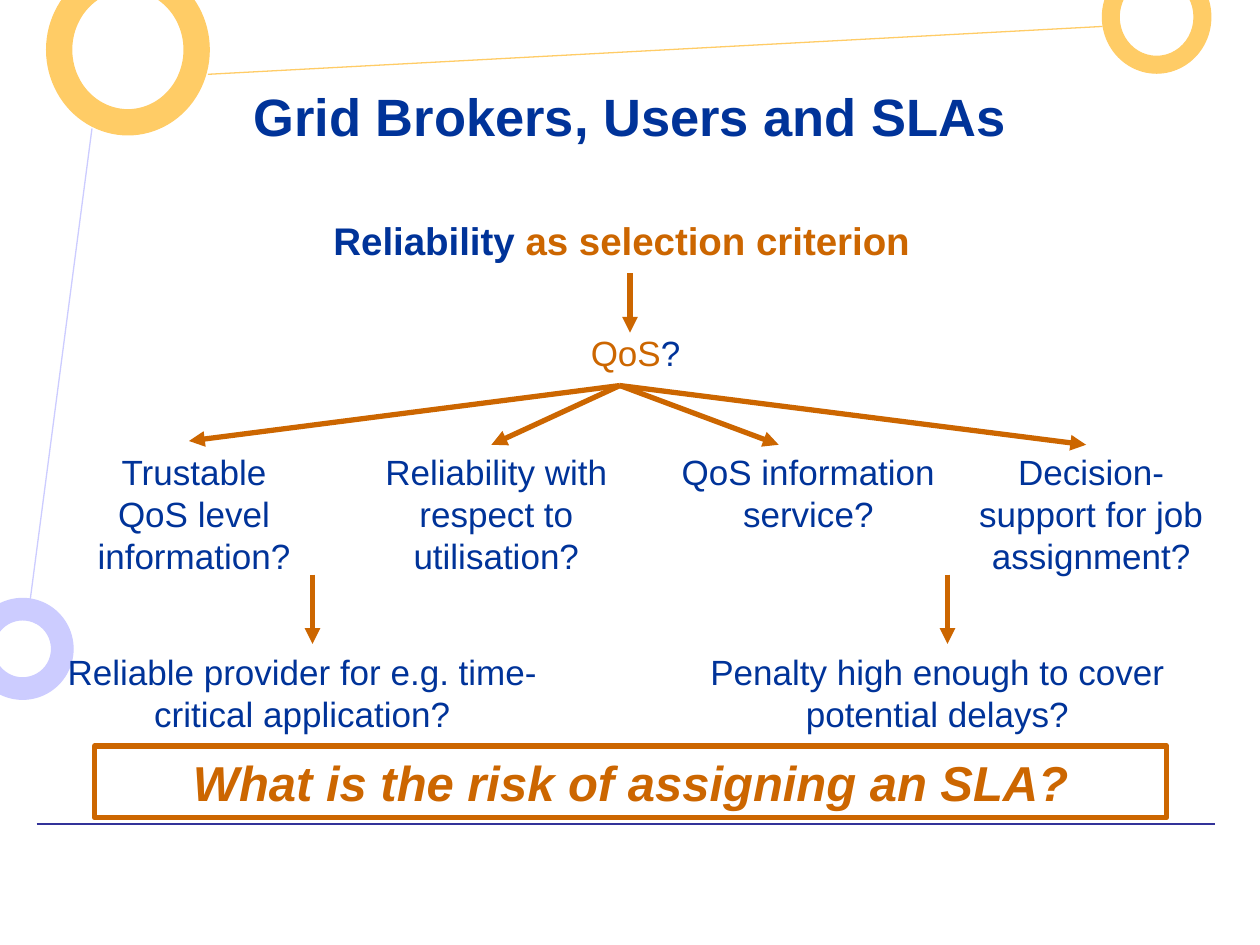
from dataclasses import dataclass

from lxml import etree
from pptx import Presentation
from pptx import util as u
from pptx.dml.color import RGBColor
from pptx.enum import shapes, text
from pptx.oxml.ns import qn

COLORS = {
    "navy": "003399",
    "orange": "CC6600",
    "gold": "FFCC66",
    "lilac": "CCCCFF",
    "indigo": "333399",
}
FONT = "Arial"


@dataclass(frozen=True)
class Box:
    left: float
    top: float
    width: float
    height: float

    def lengths(self) -> list:
        return [u.Inches(v) for v in (self.left, self.top, self.width, self.height)]


@dataclass(frozen=True)
class Line:
    start: tuple[float, float]
    end: tuple[float, float]
    color: str = "orange"
    width: float = 3
    arrow: bool = True


@dataclass(frozen=True)
class Ring:
    box: Box
    thickness: float
    color: str


@dataclass(frozen=True)
class Label:
    box: Box
    content: str
    margin: float = 0


def rgb(color: str) -> RGBColor:
    return RGBColor.from_string(COLORS[color])


def draw_line(slide, line: Line) -> None:
    connector = slide.shapes.add_connector(
        shapes.MSO_CONNECTOR.STRAIGHT,
        *[u.Inches(v) for v in (*line.start, *line.end)],
    )
    connector.line.color.rgb = rgb(line.color)
    connector.line.width = u.Pt(line.width)
    if line.arrow:
        outline = connector.line._get_or_add_ln()
        etree.SubElement(outline, qn("a:tailEnd"), type="triangle")
    etree.SubElement(connector._element.spPr, qn("a:effectLst"))


def draw_ring(slide, ring: Ring) -> None:
    shape = slide.shapes.add_shape(shapes.MSO_SHAPE.DONUT, *ring.box.lengths())
    shape.adjustments[0] = ring.thickness
    shape.shadow.inherit = False
    shape.fill.solid()
    shape.fill.fore_color.rgb = rgb(ring.color)
    shape.line.color.rgb = rgb(ring.color)
    shape.line.width = u.Pt(0.75)


def write_text(shape, *runs: tuple[str, str], size: float = 20, bold: bool = False,
               italic: bool = False, margin: float = 0.1, spacing: float = 1,
               anchor=text.MSO_ANCHOR.TOP) -> None:
    frame = shape.text_frame
    frame.word_wrap = True
    frame.vertical_anchor = anchor
    frame.margin_left = frame.margin_right = u.Inches(margin)
    frame.margin_top = frame.margin_bottom = u.Inches(0.05)
    paragraph = frame.paragraphs[0]
    paragraph.alignment = text.PP_ALIGN.CENTER
    paragraph.line_spacing = spacing
    for content, color in runs:
        for index, part in enumerate(content.split("\n")):
            if index:
                paragraph.add_line_break()
            run = paragraph.add_run()
            run.text = part
            run.font.name = FONT
            run.font.size = u.Pt(size)
            run.font.bold = bold
            run.font.italic = italic
            run.font.color.rgb = rgb(color)


def add_text(slide, box: Box, *runs: tuple[str, str], **style) -> None:
    write_text(slide.shapes.add_textbox(*box.lengths()), *runs, **style)


QUESTION_TOP, OUTCOME_TOP = 3.53, 5.11
FORK = (4.92, 3.06)

BACKGROUND_LINES = [
    Line((1.65, 0.59), (8.75, 0.21), "gold", 0.75, False),
    Line((0.29, 6.54), (9.64, 6.54), "indigo", 1.5, False),
    Line((0.73, 1.02), (0.24, 4.76), "lilac", 0.75, False),
]
RINGS = [
    Ring(Box(-0.22, 4.75, 0.8, 0.8), 0.212, "lilac"),
    Ring(Box(8.75, -0.31, 0.86, 0.89), 0.154, "gold"),
    Ring(Box(0.37, -0.28, 1.29, 1.35), 0.154, "gold"),
]
LABELS = [
    Label(Box(0.58, QUESTION_TOP, 1.92, 1.1), "Trustable QoS level information?", 0.1),
    Label(Box(2.56, QUESTION_TOP, 2.76, 1.1),
          "Reliability with respect to utilisation?", 0.1),
    Label(Box(5.39, QUESTION_TOP, 2.05, 0.77), "QoS information service?"),
    Label(Box(7.52, QUESTION_TOP, 2.28, 1.1),
          "Decision-\nsupport for job assignment?"),
    Label(Box(0.43, OUTCOME_TOP, 3.94, 0.77),
          "Reliable provider for e.g. time-critical application?"),
    Label(Box(5.47, OUTCOME_TOP, 3.94, 0.77),
          "Penalty high enough to cover potential delays?"),
]
ARROWS = [
    Line((5, 2.17), (5, 2.64)),
    *[Line(FORK, tip) for tip in ((1.5, 3.5), (3.9, 3.53), (6.18, 3.53), (8.62, 3.53))],
    *[Line((x, 4.56), (x, OUTCOME_TOP)) for x in (2.48, 7.52)],
]


def main() -> None:
    presentation = Presentation()
    presentation.slide_width = u.Inches(10)
    presentation.slide_height = u.Inches(7.5)
    slide = presentation.slides.add_slide(presentation.slide_layouts[6])

    for line in BACKGROUND_LINES:
        draw_line(slide, line)
    for ring in RINGS:
        draw_ring(slide, ring)

    add_text(slide, Box(0.75, 0.25, 8.5, 1.33), ("Grid Brokers, Users and SLAs", "navy"),
             size=30, bold=True, anchor=text.MSO_ANCHOR.MIDDLE)
    add_text(slide, Box(0.25, 1.58, 9.37, 1.01), ("Reliability", "navy"),
             (" as selection criterion", "orange"), size=22, bold=True, spacing=1.25)
    add_text(slide, Box(2.33, 2.58, 5.43, 0.44), ("QoS", "orange"), ("?", "navy"), margin=0)
    for label in LABELS:
        add_text(slide, label.box, (label.content, "navy"), margin=label.margin)

    banner = slide.shapes.add_shape(
        shapes.MSO_SHAPE.RECTANGLE, *Box(0.75, 5.92, 8.51, 0.57).lengths())
    banner.shadow.inherit = False
    banner.fill.background()
    banner.line.color.rgb = rgb("orange")
    banner.line.width = u.Pt(3)
    write_text(banner, ("What is the risk of assigning an SLA?", "orange"),
               size=28, bold=True, italic=True)

    for arrow in ARROWS:
        draw_line(slide, arrow)
    presentation.save("out.pptx")


if __name__ == "__main__":
    main()
